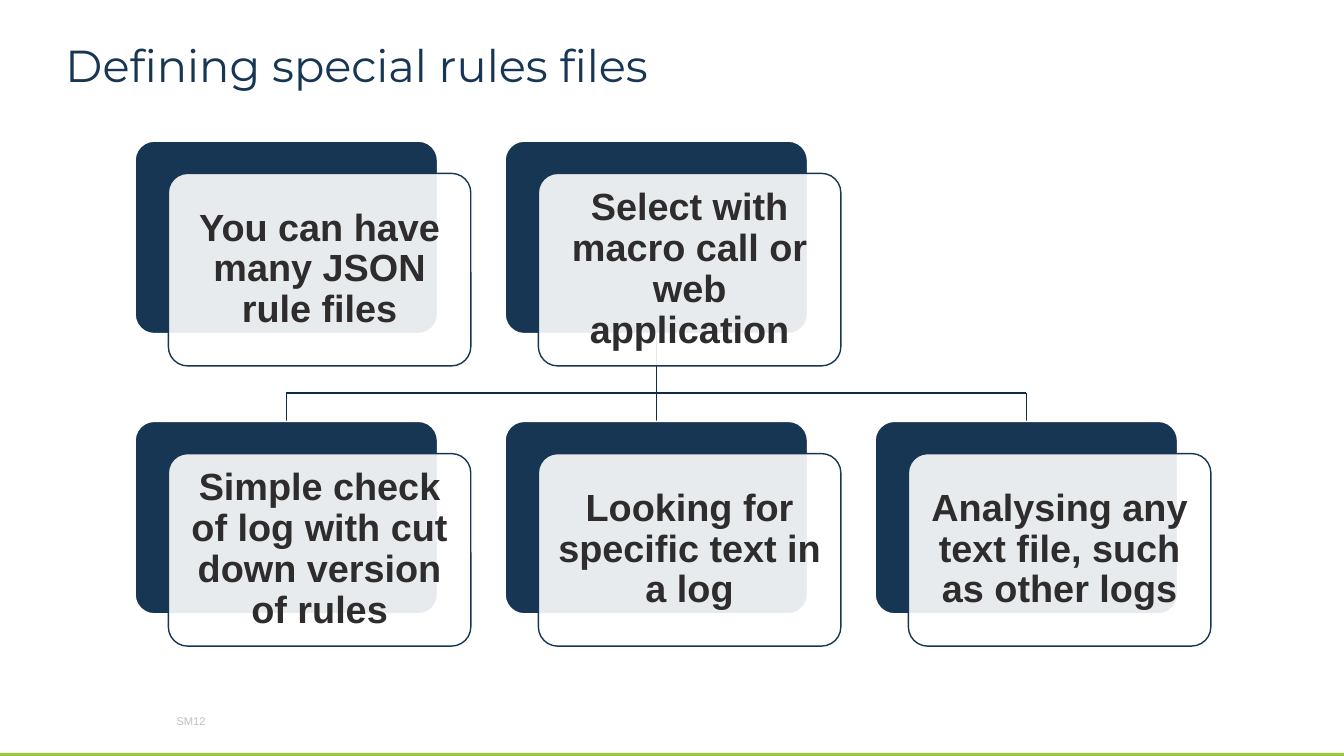
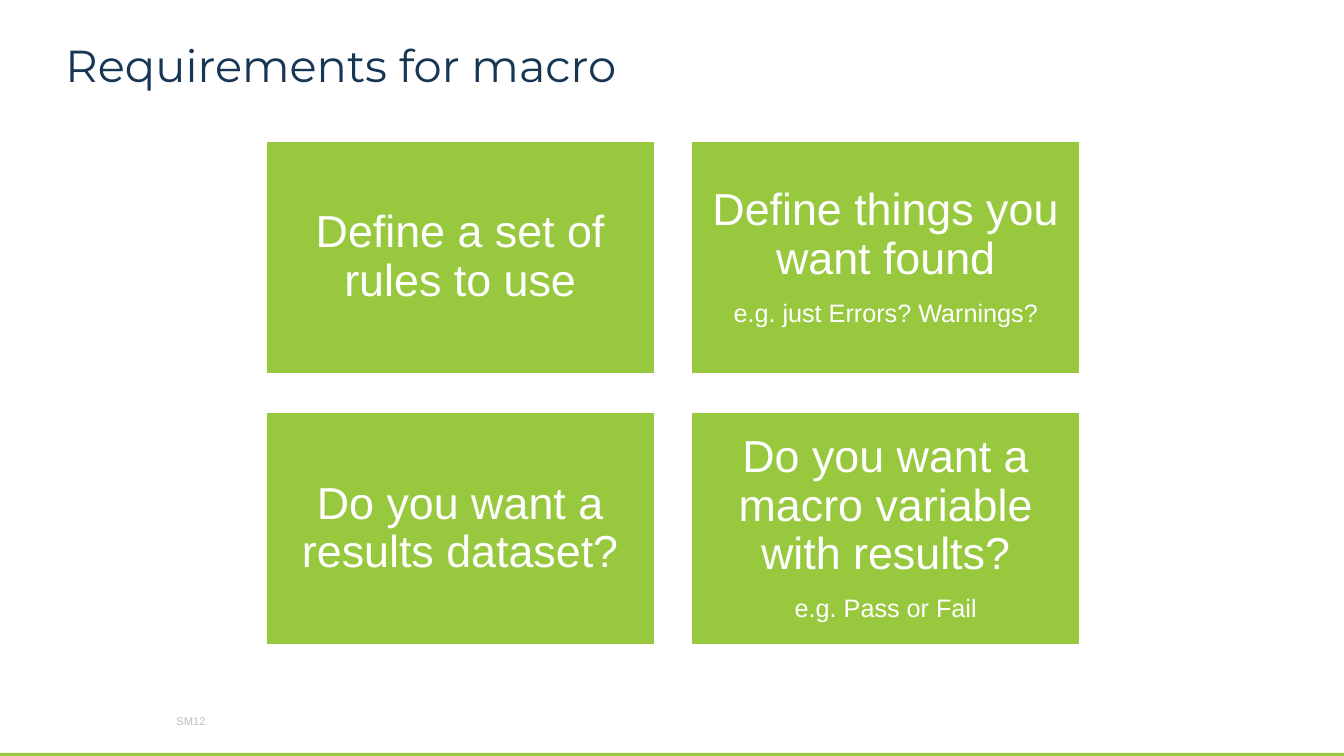
from pptx import Presentation
from pptx.dml.color import RGBColor
from pptx.enum.shapes import MSO_CONNECTOR, MSO_SHAPE
from pptx.enum.text import MSO_ANCHOR, PP_ALIGN
from pptx.oxml.ns import qn
from pptx.util import Inches, Pt
from lxml import etree

NAVY = RGBColor(0x17, 0x36, 0x54)
LINE_NAVY = RGBColor(0x12, 0x2B, 0x43)
GREEN = RGBColor(0x98, 0xC8, 0x3E)
GREY = RGBColor(0xC0, 0xC0, 0xC0)
DARK = RGBColor(0x2E, 0x2C, 0x2C)
WHITE = RGBColor(0xFF, 0xFF, 0xFF)

SLIDE_W, SLIDE_H = 13.33, 7.5
FOOTER = "SM12"

# Content: rows of cards, and rows of (heading, detail) tiles
RULES_TITLE = "Defining special rules files"
RULE_ROWS = [
    ["You can have many JSON rule files",
     "Select with macro call or web application"],
    ["Simple check of log with cut down version of rules",
     "Looking for specific text in a log",
     "Analysing any text file, such as other logs"],
]
MACRO_TITLE = "Requirements for macro"
MACRO_ROWS = [
    [("Define a set of rules to use", None),
     ("Define things you want found", "e.g. just Errors? Warnings?")],
    [("Do you want a results dataset?", None),
     ("Do you want a macro variable with results?", "e.g. Pass or Fail")],
]

# Card grid: each card is a navy plate with a translucent label in front
CARD_X, CARD_Y, CARD_W, CARD_H = 1.34, 1.4, 3, 1.91
CARD_STEP_X, CARD_STEP_Y = 3.67, 2.78
LABEL_DX, LABEL_DY = 0.33, 0.32

# Tile grid
TILE_X, TILE_Y, TILE_W, TILE_H = 2.64, 1.4, 3.85, 2.31
TILE_GAP_X, TILE_GAP_Y = 0.37, 0.38


def write(sp, lines, color, font="Arial", bold=False, inset=None,
          align=PP_ALIGN.CENTER, spacing=0.9, gap=12):
    """Write (text, size) lines, one paragraph each, centred vertically."""
    tf = sp.text_frame
    tf.word_wrap = True
    tf.vertical_anchor = MSO_ANCHOR.MIDDLE
    if inset is not None:
        tf.margin_left = tf.margin_right = Inches(inset)
        tf.margin_top = tf.margin_bottom = Inches(inset)
    for i, (text, size) in enumerate(lines):
        p = tf.add_paragraph() if i else tf.paragraphs[0]
        p.text = text
        p.alignment = align
        p.line_spacing = spacing
        if i:
            p.space_before = Pt(gap)
        f = p.runs[0].font
        f.name, f.size, f.bold = font, Pt(size), bold
        f.color.rgb = color


def add_box(s, kind, x, y, w, h, fill, line=None):
    sp = s.shapes.add_shape(kind, Inches(x), Inches(y), Inches(w), Inches(h))
    sp.shadow.inherit = False
    sp.fill.solid()
    sp.fill.fore_color.rgb = fill
    if line is None:
        sp.line.fill.background()
    else:
        sp.line.color.rgb = line
        sp.line.width = Pt(1)
    return sp


def add_line(s, x1, y1, x2, y2):
    c = s.shapes.add_connector(MSO_CONNECTOR.STRAIGHT, Inches(x1), Inches(y1),
                               Inches(x2), Inches(y2))
    c.line.color.rgb = LINE_NAVY
    c.line.width = Pt(1)
    etree.SubElement(c._element.spPr, qn("a:effectLst"))


def add_slide(prs, title):
    """Blank slide with the shared band, title and footer."""
    s = prs.slides.add_slide(prs.slide_layouts[6])
    add_box(s, MSO_SHAPE.RECTANGLE, 0, 7.47, SLIDE_W, 0.03, GREEN)
    head = s.shapes.add_textbox(Inches(0.65), Inches(0.34), Inches(12.04), Inches(0.67))
    write(head, [(title, 32)], NAVY, font="Montserrat", inset=0, align=PP_ALIGN.LEFT)
    foot = s.shapes.add_textbox(Inches(1.65), Inches(6.95), Inches(0.99), Inches(0.4))
    write(foot, [(FOOTER, 8)], GREY, align=PP_ALIGN.LEFT, spacing=1)
    return s


def add_card(s, x, y, text):
    plate = add_box(s, MSO_SHAPE.ROUNDED_RECTANGLE, x, y, CARD_W, CARD_H, NAVY, WHITE)
    label = add_box(s, MSO_SHAPE.ROUNDED_RECTANGLE, x + LABEL_DX, y + LABEL_DY,
                    CARD_W, CARD_H, WHITE, NAVY)
    for sp in (plate, label):
        sp.adjustments[0] = 0.1
    color = label.fill._xPr.find(qn("a:solidFill"))[0]
    etree.SubElement(color, qn("a:alpha"), val="90000")
    write(label, [(text, 27)], DARK, bold=True, inset=0.11)


def add_rules_slide(prs):
    s = add_slide(prs, RULES_TITLE)
    # Tree lines from the second top card down to the lower row
    centers = [CARD_X + CARD_W / 2 + i * CARD_STEP_X for i in range(3)]
    left, mid, right = centers
    child_y, bar_y = CARD_Y + CARD_STEP_Y, 3.9
    add_line(s, mid, CARD_Y + CARD_H, mid, child_y)
    add_line(s, left, bar_y, right, bar_y)
    for x in (left, right):
        add_line(s, x, bar_y, x, child_y)
    # Cards
    for r, row in enumerate(RULE_ROWS):
        for c, text in enumerate(row):
            add_card(s, CARD_X + c * CARD_STEP_X, CARD_Y + r * CARD_STEP_Y, text)


def add_macro_slide(prs):
    s = add_slide(prs, MACRO_TITLE)
    for r, row in enumerate(MACRO_ROWS):
        for c, (heading, detail) in enumerate(row):
            tile = add_box(s, MSO_SHAPE.RECTANGLE,
                           TILE_X + c * (TILE_W + TILE_GAP_X),
                           TILE_Y + r * (TILE_H + TILE_GAP_Y),
                           TILE_W, TILE_H, GREEN, WHITE)
            lines = [(heading, 32)] + ([(detail, 18)] if detail else [])
            write(tile, lines, WHITE, inset=0.13)


def main():
    prs = Presentation()
    prs.slide_width, prs.slide_height = Inches(SLIDE_W), Inches(SLIDE_H)
    add_rules_slide(prs)
    add_macro_slide(prs)
    prs.save("out.pptx")


if __name__ == "__main__":
    main()
